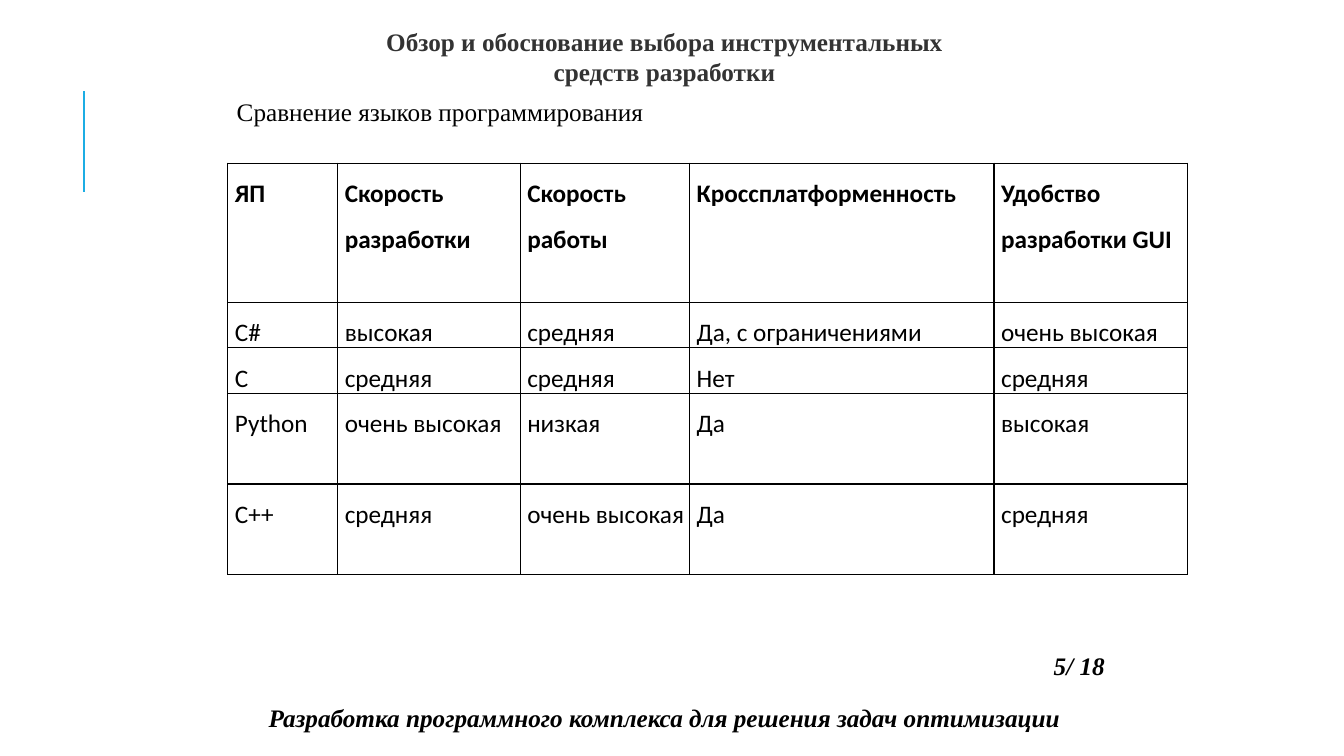
from pptx import Presentation
from pptx import util as u
from pptx.dml import color
from pptx.enum import shapes, text
from pptx.oxml import parse_xml
from pptx.oxml import ns

PX = 9144
SERIF = "Times New Roman"
SANS = "Calibri"
BLACK = "000000"
COLUMNS = [109, 181, 168, 302, 192]
ROWS = [138, 43, 43, 90, 90]
LANGUAGES = [
    ["ЯП", "Скорость разработки", "Скорость работы", "Кроссплатформенность", "Удобство разработки GUI"],
    ["C#", "высокая", "средняя", "Да, с ограничениями", "очень высокая"],
    ["C", "средняя", "средняя", "Нет", "средняя"],
    ["Python", "очень высокая", "низкая", "Да", "высокая"],
    ["C++", "средняя", "очень высокая", "Да", "средняя"],
]


def px(*values):
    return [u.Emu(v * PX) for v in values]


def rgb(value):
    return color.RGBColor.from_string(value)


def style(p, font, hex_color=BLACK, bold=False, italic=False):
    for r in p.runs:
        r.font.name = font
        r.font.size = u.Pt(18)
        r.font.bold = bold
        r.font.italic = italic
        r.font.color.rgb = rgb(hex_color)


def add_title(s, box, words):
    sp = s.shapes.title
    sp.left, sp.top, sp.width, sp.height = px(*box)
    tf = sp.text_frame
    tf.text = words
    tf.word_wrap = True
    tf.auto_size = text.MSO_AUTO_SIZE.SHAPE_TO_FIT_TEXT
    tf.vertical_anchor = text.MSO_ANCHOR.TOP
    p = tf.paragraphs[0]
    p.alignment = text.PP_ALIGN.CENTER
    style(p, SERIF, "333333", bold=True)


def add_subtitle(s, box, words):
    tf = s.shapes.add_textbox(*px(*box)).text_frame
    tf.text = words
    tf.word_wrap = False
    tf.auto_size = text.MSO_AUTO_SIZE.SHAPE_TO_FIT_TEXT
    style(tf.paragraphs[0], SERIF)


def add_footer(s, box, words):
    tf = s.shapes.add_textbox(*px(*box)).text_frame
    tf.text = words
    tf.word_wrap = True
    tf.vertical_anchor = text.MSO_ANCHOR.MIDDLE
    p = tf.paragraphs[0]
    p.alignment = text.PP_ALIGN.CENTER
    style(p, SERIF, bold=True, italic=True)


def add_accent_line(s, ends):
    line = s.shapes.add_connector(shapes.MSO_CONNECTOR.STRAIGHT, *px(*ends))
    line.line.color.rgb = rgb("1CADE4")
    line.line.width = u.Pt(1.5)
    line._element.spPr.append(parse_xml(f"<a:effectLst {ns.nsdecls('a')}/>"))


def add_borders(cell):
    tcPr = cell._tc.get_or_add_tcPr()
    for side in "LRTB":
        tcPr.append(parse_xml(
            f'<a:ln{side} {ns.nsdecls("a")} w="{u.Pt(1)}"><a:solidFill>'
            f'<a:srgbClr val="{BLACK}"/></a:solidFill></a:ln{side}>'))


def fill_cell(cell, words, bold):
    cell.margin_left = cell.margin_right = cell.margin_top = cell.margin_bottom = 0
    add_borders(cell)
    cell.fill.background()
    cell.text = words
    p = cell.text_frame.paragraphs[0]
    p.line_spacing = 1.5
    pPr = p._p.get_or_add_pPr()
    pPr.set("marL", str(7 * PX))
    pPr.set("indent", "0")
    style(p, SANS, bold=bold)


def add_language_table(s, left, top):
    box = px(left, top, sum(COLUMNS), sum(ROWS))
    table = s.shapes.add_table(len(ROWS), len(COLUMNS), *box).table
    table.horz_banding = False
    for column, width in zip(table.columns, px(*COLUMNS)):
        column.width = width
    for i, (row, height) in enumerate(zip(table.rows, px(*ROWS))):
        row.height = height
        for cell, words in zip(row.cells, LANGUAGES[i]):
            fill_cell(cell, words, bold=i == 0)


def main():
    prs = Presentation()
    prs.slide_width, prs.slide_height = px(1333, 750)
    s = prs.slides.add_slide(prs.slide_layouts[5])
    add_accent_line(s, (83, 190, 83, 90))
    add_footer(s, (226, 690, 866, 44), "Разработка программного комплекса для решения задач оптимизации")
    add_footer(s, (974, 635, 193, 51), "5/ 18")
    add_title(s, (329, 21, 660, 71), "Обзор и обоснование выбора инструментальных средств разработки")
    add_subtitle(s, (225, 91, 427, 40), "Сравнение языков программирования")
    add_language_table(s, 226, 162)
    prs.save("out.pptx")


if __name__ == "__main__":
    main()
